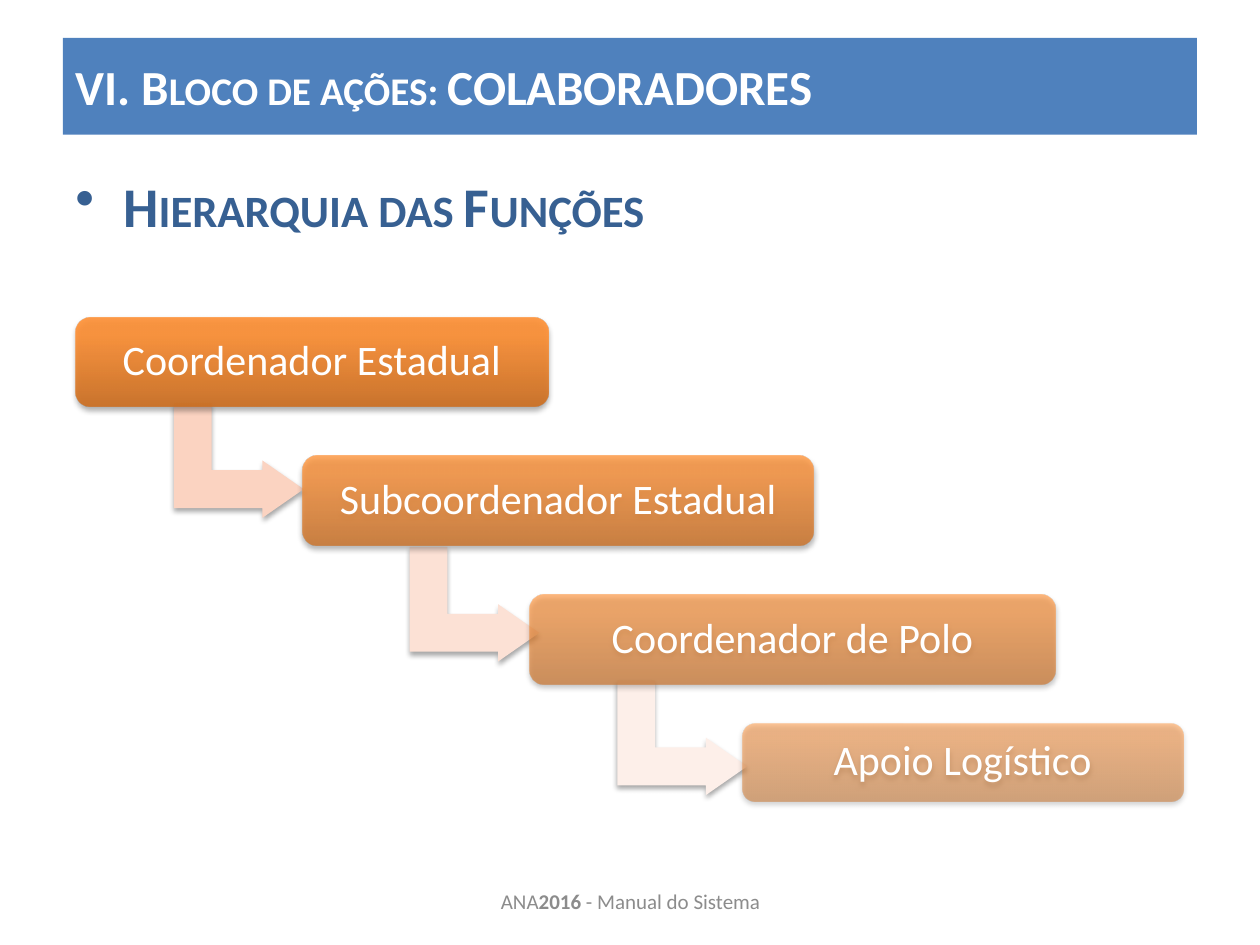
"""Builds the slide on the hierarchy of collaborator roles."""
import pptx
import pptx.dml.color
import pptx.enum.shapes
import pptx.enum.text
import pptx.oxml
import pptx.oxml.ns
import pptx.util

COLORS = {
    "band": "4F81BD", "white": "FFFFFF", "heading": "376092", "footer": "8C8C8C",
    "box_bottom": "CC6E20", "box_middle": "FF9034", "box_top": "FF9136", "shadow": "000000",
}
FONT = "Calibri"
TITLE = [("VI. ", {}), ("Bloco de ações: ", {"cap": "small"}), ("COLABORADORES", {})]
HEADING = [("Hierarquia das Funções", {"cap": "small"})]
FOOTER = [("ANA", {}), ("2016", {"b": "1"}), (" - Manual do Sistema", {})]
ROLES = [
    {"name": "Coordenador Estadual", "box": (6, 25.2, 37.5, 7.1), "opacity": 90},
    {"name": "Subcoordenador Estadual", "box": (24, 36.2, 40.6, 7.1), "opacity": 77},
    {"name": "Coordenador de Polo", "box": (42, 47.2, 41.8, 7.1), "opacity": 63},
    {"name": "Apoio Logístico", "box": (58.9, 57.4, 35, 6.2), "opacity": 50},
]
ARROWS = [(14.4, 31.4, "FBD3C1"), (33.1, 42.8, "FCE1D5"), (49.6, 53.4, "FDEFE9")]
ARROW_SIZE = (9.1, 10.3)
ARROW_ADJUSTMENTS = (0.33, 0.25, 0.36)
STOPS = [(0, "box_bottom"), (80, "box_middle"), (100, "box_top")]

SHAPES = pptx.enum.shapes.MSO_SHAPE
ALIGN = pptx.enum.text.PP_ALIGN
ANCHOR = pptx.enum.text.MSO_ANCHOR
NAMESPACE = pptx.oxml.ns.nsdecls("a")

presentation = pptx.Presentation()
presentation.slide_width = pptx.util.Inches(10)
presentation.slide_height = pptx.util.Inches(7.5)
slide = presentation.slides.add_slide(presentation.slide_layouts[6])


def place(*shares):
    """Turns percentages of the slide width into lengths."""
    return [round(presentation.slide_width * share / 100) for share in shares]


def rgb(color):
    """Makes a colour from its hex string."""
    return pptx.dml.color.RGBColor.from_string(color)


def add_shape(kind, area, color):
    """Adds a flat shape without a line."""
    shape = slide.shapes.add_shape(kind, *place(*area))
    shape.shadow.inherit = False
    shape.fill.solid()
    shape.fill.fore_color.rgb = rgb(color)
    shape.line.fill.background()
    return shape


def add_shadow(shape):
    """Drops a soft shadow straight below the shape."""
    effects = shape._element.spPr.find(pptx.oxml.ns.qn("a:effectLst"))
    effects.append(pptx.oxml.parse_xml(
        f'<a:outerShdw {NAMESPACE} blurRad="{pptx.util.Pt(3.1)}" dist="{pptx.util.Pt(1.8)}" '
        f'dir="5400000" rotWithShape="0"><a:srgbClr val="{COLORS["shadow"]}">'
        '<a:alpha val="35000"/></a:srgbClr></a:outerShdw>'))


def add_gradient(shape, opacity):
    """Replaces the plain fill with the translucent vertical gradient."""
    stops = "".join(
        f'<a:gs pos="{position * 1000}"><a:srgbClr val="{COLORS[name]}">'
        f'<a:alpha val="{opacity * 1000}"/></a:srgbClr></a:gs>' for position, name in STOPS)
    properties = shape._element.spPr
    properties.replace(
        properties.find(pptx.oxml.ns.qn("a:solidFill")),
        pptx.oxml.parse_xml(f'<a:gradFill {NAMESPACE} rotWithShape="1"><a:gsLst>{stops}</a:gsLst>'
                            '<a:lin ang="16200000" scaled="0"/></a:gradFill>'))


def write(shape, runs, size, color, align=ALIGN.LEFT, anchor=ANCHOR.MIDDLE, bold=False):
    """Writes one paragraph of runs and returns it."""
    frame = shape.text_frame
    frame.word_wrap = True
    frame.vertical_anchor = anchor
    paragraph = frame.paragraphs[0]
    paragraph.alignment = align
    font = paragraph.font
    font.name, font.size, font.bold = FONT, pptx.util.Pt(size), bold
    font.color.rgb = rgb(COLORS[color])
    for text, attributes in runs:
        run = paragraph.add_run()
        run.text = text
        for key, value in attributes.items():
            run._r.get_or_add_rPr().set(key, value)
    return paragraph


def add_bullet(paragraph):
    """Gives the paragraph a round bullet and a hanging indent."""
    properties = paragraph._p.get_or_add_pPr()
    indent = pptx.util.Inches(0.38)
    properties.set("marL", str(indent))
    properties.set("indent", str(-indent))
    bullet = pptx.oxml.parse_xml(f'<a:buChar {NAMESPACE} char="•"/>')
    properties.insert_element_before(bullet, "a:tabLst", "a:defRPr", "a:extLst")


write(add_shape(SHAPES.RECTANGLE, (5, 3, 90, 7.7), COLORS["band"]), TITLE, 28, "white", bold=True)

heading = slide.shapes.add_textbox(*place(5, 13.1, 90, 10.4))
paragraph = write(heading, HEADING, 32, "heading", anchor=ANCHOR.TOP, bold=True)
paragraph.space_before = pptx.util.Pt(3)
add_bullet(paragraph)

footer = slide.shapes.add_textbox(*place(34.2, 69.5, 31.7, 4))
write(footer, FOOTER, 12, "footer", ALIGN.CENTER)

for index, role in enumerate(ROLES):
    if index < len(ARROWS):
        left, top, color = ARROWS[index]
        arrow = add_shape(SHAPES.BENT_UP_ARROW, (left, top, *ARROW_SIZE), color)
        arrow.rotation = 90
        for number, value in enumerate(ARROW_ADJUSTMENTS):
            arrow.adjustments[number] = value
        add_shadow(arrow)
    box = add_shape(SHAPES.ROUNDED_RECTANGLE, role["box"], COLORS["box_middle"])
    add_gradient(box, role["opacity"])
    add_shadow(box)
    write(box, [(role["name"], {})], 24, "white", ALIGN.CENTER).line_spacing = 0.9

presentation.save("out.pptx")
